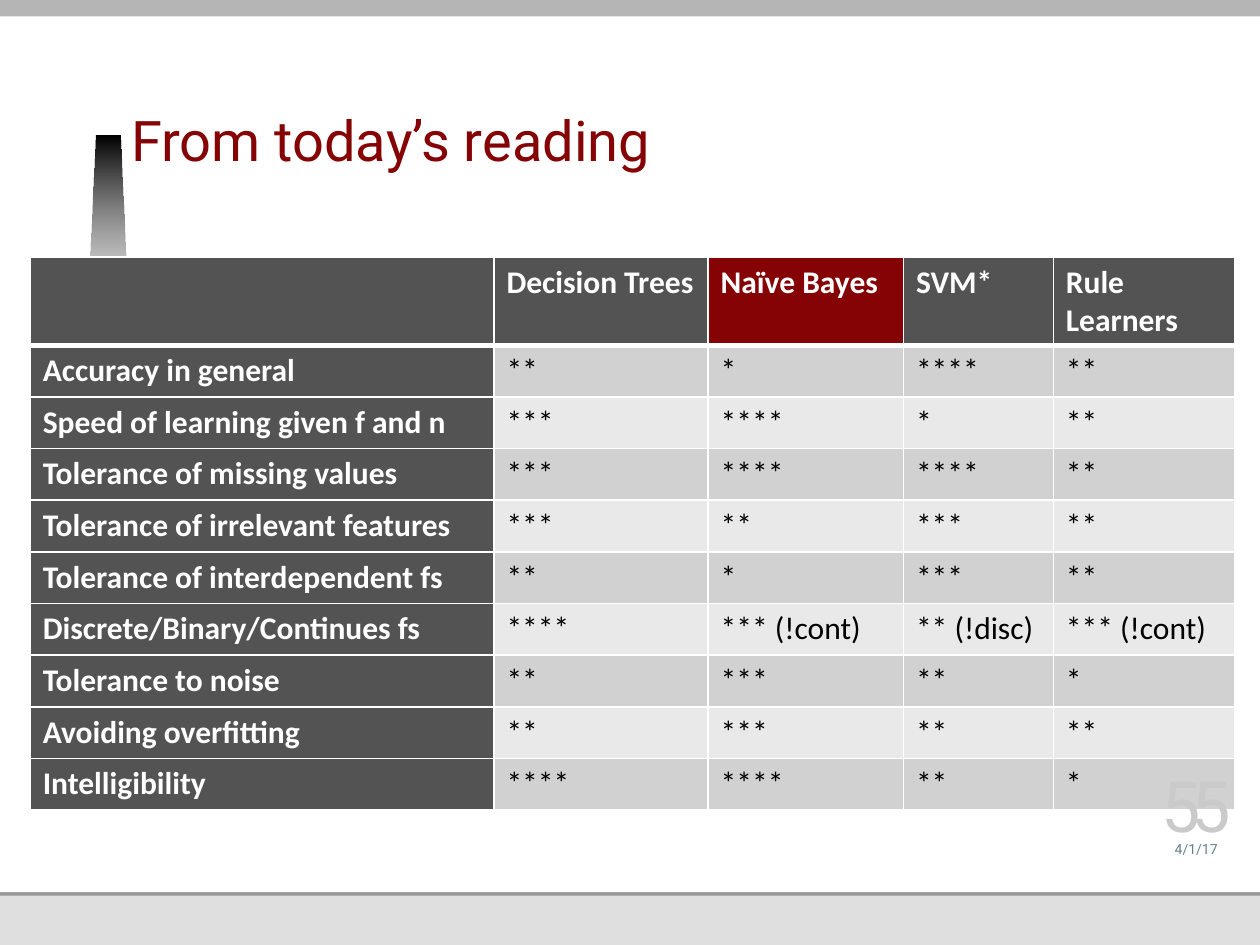
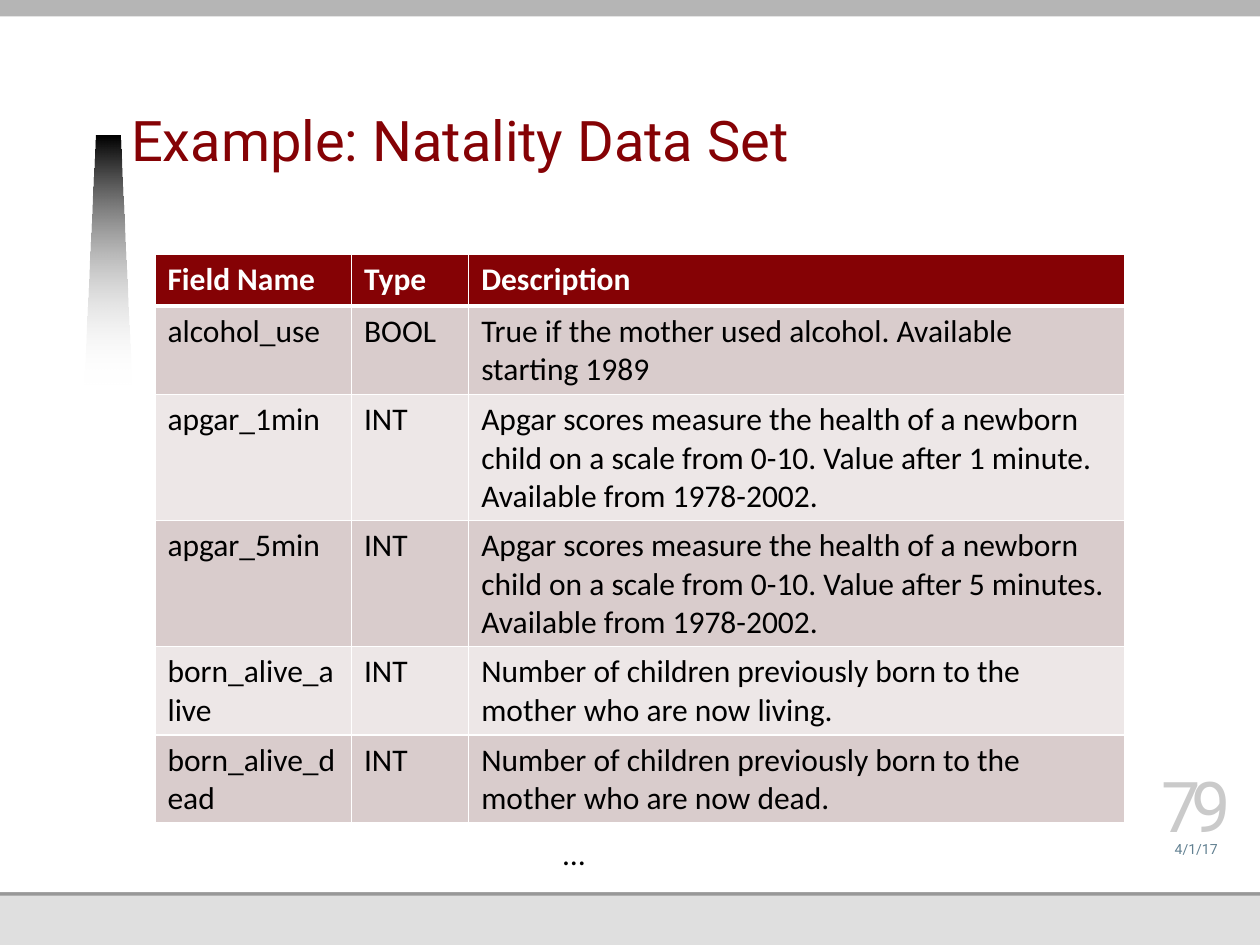
from lxml import etree
from pptx import Presentation
from pptx.dml.color import RGBColor
from pptx.enum.shapes import MSO_SHAPE
from pptx.enum.text import MSO_ANCHOR, PP_ALIGN
from pptx.oxml.ns import qn
from pptx.util import Inches, Pt

WHITE, BLACK, RED, CHARCOAL = "FFFFFF", "000000", "850205", "535353"
HEAD_FONT, BODY_FONT = "Roboto", "Calibri"
DATE = "4/1/17"

BANDS = [
    (0, 0, 10, 7.5, "DFDFDF"),
    (0, 1.78, 10, 5.33, "989898"),
    (0, 0, 10, 7.08, WHITE),
    (0, 0, 7.9, 0.11, "989898"),
]
TOP_BAND = (0, -0.04, 10.17, 0.17, "B5B5B5")
BEAM = [(0.67, 3.05), (0.76, 1.08), (0.95, 1.08), (1.04, 3.05)]

SLIDES = [
    {
        "title": "From today’s reading",
        "number": "55",
        "at": (0.24, 2.04),
        "columns": [3.68, 1.7, 1.55, 1.19, 1.44],
        "header_fills": [CHARCOAL, CHARCOAL, RED, CHARCOAL, CHARCOAL],
        "label_fill": CHARCOAL,
        "stripes": ("D1D1D1", "E9E9E9"),
        "rows": [
            ("", "Decision Trees", "Naïve Bayes", "SVM*", "Rule Learners"),
            ("Accuracy in general", "**", "*", "****", "**"),
            ("Speed of learning given f and n", "***", "****", "*", "**"),
            ("Tolerance of missing values", "***", "****", "****", "**"),
            ("Tolerance of irrelevant features", "***", "**", "***", "**"),
            ("Tolerance of interdependent fs", "**", "*", "***", "**"),
            ("Discrete/Binary/Continues fs", "****", "*** (!cont)", "** (!disc)", "*** (!cont)"),
            ("Tolerance to noise", "**", "***", "**", "*"),
            ("Avoiding overfitting", "**", "***", "**", "**"),
            ("Intelligibility", "****", "****", "**", "*"),
        ],
    },
    {
        "title": "Example: Natality Data Set",
        "number": "79",
        "at": (1.23, 2.02),
        "columns": [1.56, 0.93, 5.21],
        "header_fills": [RED] * 3,
        "label_fill": None,
        "stripes": ("D9CCCC", "EDE7E7"),
        "rows": [
            ("Field Name", "Type", "Description"),
            ("alcohol_use", "BOOL", "True if the mother used alcohol. Available starting 1989"),
            ("apgar_1min", "INT", "Apgar scores measure the health of a newborn child on a scale "
             "from 0-10. Value after 1 minute. Available from 1978-2002."),
            ("apgar_5min", "INT", "Apgar scores measure the health of a newborn child on a scale "
             "from 0-10. Value after 5 minutes. Available from 1978-2002."),
            ("born_alive_alive", "INT",
             "Number of children previously born to the mother who are now living."),
            ("born_alive_dead", "INT",
             "Number of children previously born to the mother who are now dead."),
        ],
        "more": "…",
    },
]
ROW_HEIGHT = 0.41


def color(hex_string):
    return RGBColor.from_string(hex_string)


def style(paragraph, size, name, hex_string, bold=False):
    for run in paragraph.runs:
        run.font.size = Pt(size)
        run.font.name = name
        run.font.bold = bold
        run.font.color.rgb = color(hex_string)


def add_band(slide, left, top, width, height, fill):
    band = slide.shapes.add_shape(
        MSO_SHAPE.RECTANGLE, Inches(left), Inches(top), Inches(width), Inches(height))
    band.shadow.inherit = False
    band.fill.solid()
    band.fill.fore_color.rgb = color(fill)
    band.line.fill.background()


def add_beam(slide):
    points = [(Inches(x), Inches(y)) for x, y in BEAM]
    builder = slide.shapes.build_freeform(*points[0])
    builder.add_line_segments(points[1:], close=True)
    beam = builder.convert_to_shape()
    beam.shadow.inherit = False
    beam.line.fill.background()
    beam.fill.gradient()
    beam.fill.gradient_angle = 270
    for stop, shade in zip(beam.fill.gradient_stops, (BLACK, WHITE)):
        stop.color.rgb = color(shade)
    faded = beam._element.findall(".//" + qn("a:srgbClr"))[1]
    etree.SubElement(faded, qn("a:alpha"), val="0")


def add_text(slide, text, box, size, name, hex_string, align=PP_ALIGN.CENTER, bottom=0):
    frame = slide.shapes.add_textbox(*map(Inches, box)).text_frame
    frame.word_wrap = True
    frame.vertical_anchor = MSO_ANCHOR.BOTTOM
    frame.margin_left = frame.margin_right = frame.margin_top = 0
    frame.margin_bottom = Inches(bottom)
    frame.text = text
    paragraph = frame.paragraphs[0]
    paragraph.alignment = align
    style(paragraph, size, name, hex_string)
    return paragraph


def set_borders(cell, top, bottom):
    properties = cell._tc.get_or_add_tcPr()
    for side, points in (("L", 1), ("R", 1), ("T", top), ("B", bottom)):
        line = etree.SubElement(properties, qn(f"a:ln{side}"), w=str(Pt(points)))
        fill = etree.SubElement(line, qn("a:solidFill"))
        etree.SubElement(fill, qn("a:srgbClr"), val=WHITE)


def add_table(slide, content):
    rows, columns = content["rows"], content["columns"]
    left, top = content["at"]
    table = slide.shapes.add_table(
        len(rows), len(columns), Inches(left), Inches(top),
        Inches(sum(columns)), Inches(ROW_HEIGHT * len(rows))).table
    for column, width in zip(table.columns, columns):
        column.width = Inches(width)
    for r, row in enumerate(rows):
        table.rows[r].height = Inches(ROW_HEIGHT)
        for c, text in enumerate(row):
            cell = table.cell(r, c)
            is_label = c == 0 and content["label_fill"] is not None
            strong = r == 0 or is_label
            if r == 0:
                fill = content["header_fills"][c]
            elif is_label:
                fill = content["label_fill"]
            else:
                fill = content["stripes"][(r - 1) % 2]
            set_borders(cell, 3 if r == 1 else 1, 3 if r == 0 else 1)
            cell.fill.solid()
            cell.fill.fore_color.rgb = color(fill)
            cell.text_frame.text = text
            style(cell.text_frame.paragraphs[0], 18, BODY_FONT,
                  WHITE if strong else BLACK, strong)


def add_more(slide, text):
    frame = slide.shapes.add_textbox(
        Inches(4.37), Inches(6.57), Inches(0.38), Inches(0.4)).text_frame
    frame.word_wrap = False
    frame.text = text
    style(frame.paragraphs[0], 18, BODY_FONT, BLACK)


def build_slide(deck, content):
    slide = deck.slides.add_slide(deck.slide_layouts[6])
    for band in BANDS:
        add_band(slide, *band)
    add_beam(slide)
    add_band(slide, *TOP_BAND)
    title = add_text(slide, content["title"], (1.04, 0.34, 6.87, 1.08), 32, HEAD_FONT, RED,
                     PP_ALIGN.LEFT, 0.05)
    title.line_spacing = Pt(34)
    add_table(slide, content)
    add_text(slide, DATE, (9.13, 6.58, 0.73, 0.22), 8, HEAD_FONT, "618091")
    number = add_text(slide, content["number"], (9.13, 6.16, 0.73, 0.56), 40, HEAD_FONT, "CACACA")
    number.runs[0].font._element.set("spc", "-500")
    if "more" in content:
        add_more(slide, content["more"])


def main():
    deck = Presentation()
    deck.slide_width, deck.slide_height = Inches(10), Inches(7.5)
    for content in SLIDES:
        build_slide(deck, content)
    deck.save("out.pptx")


if __name__ == "__main__":
    main()
